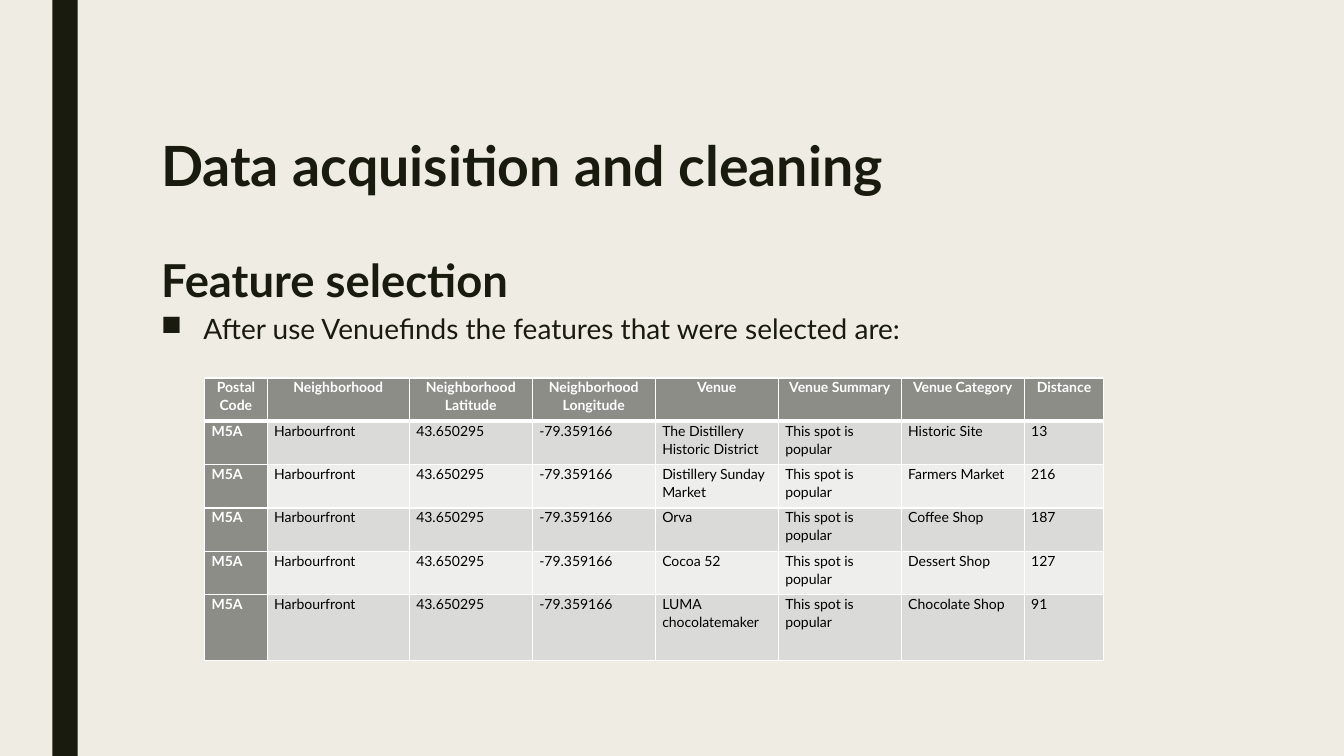
import pptx
import pptx.dml.color
import pptx.enum.shapes
import pptx.enum.text
import pptx.oxml
import pptx.oxml.ns
import pptx.util
from pptx.dml.color import RGBColor
from pptx.util import Inches

FONT = "Lato"
CREAM = RGBColor(0xEF, 0xED, 0xE3)
DARK = RGBColor(0x19, 0x1B, 0x0E)
GREY = RGBColor(0x8C, 0x8D, 0x86)
BAND_DARK = RGBColor(0xDA, 0xDB, 0xD9)
BAND_LIGHT = RGBColor(0xEE, 0xEE, 0xED)
WHITE = RGBColor(0xFF, 0xFF, 0xFF)
BLACK = RGBColor(0, 0, 0)

COL_WIDTHS = [0.62, 1.41, 1.22, 1.22, 1.22, 1.22, 1.22, 0.79]
ROW_HEIGHTS = [0.43] * 5 + [0.65]
HEADER = ["Postal Code", "Neighborhood", "Neighborhood Latitude",
          "Neighborhood Longitude", "Venue", "Venue Summary",
          "Venue Category", "Distance"]
# Venue, category, distance
VENUES = [
    ("The Distillery Historic District", "Historic Site", "13"),
    ("Distillery Sunday Market", "Farmers Market", "216"),
    ("Orva", "Coffee Shop", "187"),
    ("Cocoa 52", "Dessert Shop", "127"),
    ("LUMA chocolatemaker", "Chocolate Shop", "91"),
]


def add_run(p, text, size, color, bold=False):
    r = p.add_run()
    r.text = text
    r.font.name = FONT
    r.font.size = pptx.util.Pt(size)
    r.font.bold = bold
    r.font.color.rgb = color


def add_text_box(slide, left, top, width, height):
    tf = slide.shapes.add_textbox(Inches(left), Inches(top),
                                  Inches(width), Inches(height)).text_frame
    tf.word_wrap = True
    return tf


def add_side_bar(slide):
    sp = slide.shapes.add_shape(pptx.enum.shapes.MSO_SHAPE.RECTANGLE,
                                Inches(0.52), 0, Inches(0.25), Inches(7.5))
    sp.shadow.inherit = False
    sp.fill.solid()
    sp.fill.fore_color.rgb = DARK
    sp.line.fill.background()


def add_title(slide):
    tf = add_text_box(slide, 1.5, 0.75, 10.5, 2.3)
    tf.margin_top = Inches(0.63)
    p = tf.paragraphs[0]
    p.line_spacing = 0.89
    add_run(p, "Data acquisition and cleaning", 39.6, DARK, True)
    p = tf.add_paragraph()
    p.line_spacing = 0.89
    p.space_before = pptx.util.Pt(43)
    add_run(p, "Feature selection", 32.4, DARK, True)


def add_bullet(slide, text):
    p = add_text_box(slide, 1.5, 3.07, 10.5, 0.94).paragraphs[0]
    p.line_spacing = 0.94
    p.space_before = pptx.util.Pt(10)
    p.space_after = pptx.util.Pt(2)
    pPr = p._p.get_or_add_pPr()
    pPr.set("marL", str(Inches(0.42)))
    pPr.set("indent", str(-Inches(0.42)))
    pPr.append(pptx.oxml.parse_xml(
        f'<a:buChar {pptx.oxml.ns.nsdecls("a")} char="■"/>'))
    add_run(p, text, 20, DARK)


def set_borders(cell, top, bottom):
    tcPr = cell._tc.get_or_add_tcPr()
    for side, width in (("L", 1), ("R", 1), ("T", top), ("B", bottom)):
        tcPr.append(pptx.oxml.parse_xml(
            f'<a:ln{side} {pptx.oxml.ns.nsdecls("a")} w="{pptx.util.Pt(width)}">'
            f'<a:solidFill><a:srgbClr val="{WHITE}"/></a:solidFill></a:ln{side}>'))


def fill_cell(cell, text, row, col):
    is_header = row == 0
    is_label = is_header or col == 0
    # The rule under the header is heavier than the others
    set_borders(cell, 3 if row == 1 else 1, 3 if is_header else 1)
    cell.fill.solid()
    cell.fill.fore_color.rgb = (GREY if is_label else
                                BAND_DARK if row % 2 else BAND_LIGHT)
    cell.margin_left = cell.margin_right = Inches(0.07)
    cell.margin_top = cell.margin_bottom = 0
    p = cell.text_frame.paragraphs[0]
    p.line_spacing = 1.07
    if is_header:
        p.alignment = pptx.enum.text.PP_ALIGN.CENTER
    add_run(p, text, 10, WHITE if is_label else BLACK, is_label)


def add_venue_table(slide):
    rows = [HEADER] + [
        ["M5A", "Harbourfront", "43.650295", "-79.359166", venue,
         "This spot is popular", category, distance]
        for venue, category, distance in VENUES]
    table = slide.shapes.add_table(
        len(rows), len(HEADER), Inches(2.03), Inches(3.75),
        Inches(sum(COL_WIDTHS)), Inches(sum(ROW_HEIGHTS))).table
    table.horz_banding = False
    table.first_col = True
    for column, width in zip(table.columns, COL_WIDTHS):
        column.width = Inches(width)
    for row, height in zip(table.rows, ROW_HEIGHTS):
        row.height = Inches(height)
    for i, texts in enumerate(rows):
        for j, text in enumerate(texts):
            fill_cell(table.cell(i, j), text, i, j)


def main():
    prs = pptx.Presentation()
    prs.slide_width = Inches(13.33)
    prs.slide_height = Inches(7.5)
    slide = prs.slides.add_slide(prs.slide_layouts[6])
    slide.background.fill.solid()
    slide.background.fill.fore_color.rgb = CREAM

    add_side_bar(slide)
    add_title(slide)
    add_bullet(slide, "After use Venuefinds the features that were selected are:")
    add_venue_table(slide)
    prs.save("out.pptx")


if __name__ == "__main__":
    main()
